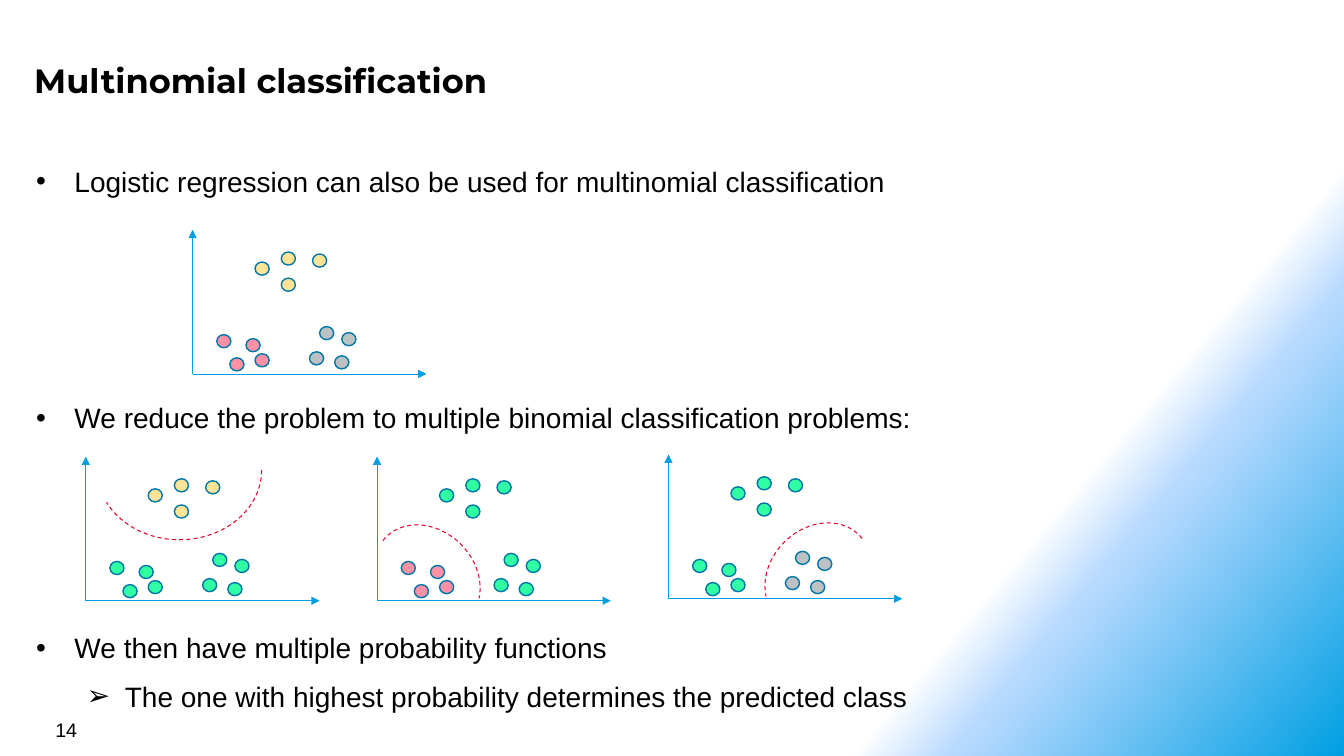
from lxml import etree
from pptx import Presentation
from pptx.dml.color import RGBColor
from pptx.enum import dml, shapes, text
from pptx.oxml import parse_xml
from pptx.oxml.ns import nsdecls, qn
from pptx.util import Inches, Pt

THEME = {
    "text": "000000", "axis": "009FE3", "outline": "0076A8", "boundary": "E4032E",
    "yellow": "FFE497", "pink": "FE91A6", "grey": "BDC1C4", "rest": "31FFA4",
    "title_font": "Montserrat", "body_font": "Arial",
    "title_size": 24, "body_size": 20, "number_size": 14,
    # position in %, colour, opacity in %
    "background": [(75, "FFFFFF", 100), (80, "B9DAFF", 50), (100, "009FE3", 100)],
    "background_angle": 40,
}

TITLE = "Multinomial classification"
SLIDE_NUMBER = "14"
# Each box: top, height, then (level, bullet, space before in points, wording)
BULLET_BOXES = [
    (1.58, 2.79, [
        (0, "•", 0, "Logistic regression can also be used for multinomial classification"),
        (0, "•", 145, "We reduce the problem to multiple binomial classification problems:"),
    ]),
    (6.21, 0.91, [
        (0, "•", 0, "We then have multiple probability functions"),
        (1, "➢", 10.5, "The one with highest probability determines the predicted class"),
    ]),
]

# Top left corner of each point, measured from the plot origin
CLUSTERS = {
    "yellow": [(0.88, -1.21), (0.62, -1.11), (0.88, -0.95), (1.19, -1.19)],
    "pink": [(0.37, -0.16), (0.24, -0.39), (0.53, -0.35), (0.62, -0.2)],
    "grey": [(1.26, -0.47), (1.16, -0.22), (1.41, -0.18), (1.48, -0.41)],
}
POINT_SIZE = (0.14, 0.13)
AXIS_WIDTH, AXIS_HEIGHT = 2.32, 1.43

# Origin and the clusters that keep their own colour
PLOTS = [
    ((1.91, 3.71), ("yellow", "pink", "grey")),
    ((0.85, 5.96), ("yellow",)),
    ((3.74, 5.96), ("pink",)),
    ((6.63, 5.94), ("grey",)),
]
# Box, rotation, start and end adjustment, mirrored
BOUNDARIES = [
    ((1.09, 3.85, 1.38, 1.63), 90, (162, 39.78), False),
    ((3.76, 5.16, 0.95, 1.15), 315, (159.24, 39.78), False),
    ((7.64, 5.14, 0.95, 1.15), 45, (159.24, 39.78), True),
]


def color(name):
    return RGBColor.from_string(THEME[name])


def style_font(font, family, size, bold=False):
    font.name, font.size, font.bold = THEME[family], Pt(THEME[size]), bold
    font.color.rgb = color("text")


def paint_background(slide):
    fill = slide.background.fill
    fill.gradient()
    gradient = slide.background._cSld.bg.bgPr.find(qn("a:gradFill"))
    stops = gradient.find(qn("a:gsLst"))
    for stop in list(stops):
        stops.remove(stop)
    for position, value, opacity in THEME["background"]:
        alpha = f'<a:alpha val="{opacity * 1000}"/>' if opacity < 100 else ""
        stops.append(parse_xml(
            f'<a:gs {nsdecls("a")} pos="{position * 1000}">'
            f'<a:srgbClr val="{value}">{alpha}</a:srgbClr></a:gs>'))
    direction = gradient.find(qn("a:lin"))
    direction.set("ang", str(THEME["background_angle"] * 60000))
    direction.set("scaled", "0")


def add_text_box(slide, box):
    text_frame = slide.shapes.add_textbox(*map(Inches, box)).text_frame
    text_frame.word_wrap = True
    return text_frame


def add_heading(slide):
    text_frame = add_text_box(slide, (0.26, 0.51, 12.26, 0.55))
    text_frame.margin_left = text_frame.margin_right = Inches(0.08)
    text_frame.margin_top = text_frame.margin_bottom = Inches(0.08)
    text_frame.text = TITLE
    style_font(text_frame.paragraphs[0].runs[0].font, "title_font", "title_size", True)


def add_slide_number(slide):
    text_frame = add_text_box(slide, (0.45, 7.07, 3.11, 0.33))
    text_frame.vertical_anchor = text.MSO_ANCHOR.MIDDLE
    text_frame.text = SLIDE_NUMBER
    style_font(text_frame.paragraphs[0].runs[0].font, "body_font", "number_size")


def add_bullets(slide, top, height, items):
    text_frame = add_text_box(slide, (0.26, top, 12.68, height))
    text_frame.text = "\n".join(item[-1] for item in items)
    for paragraph, (level, bullet, space, _) in zip(text_frame.paragraphs, items):
        paragraph.level = level
        paragraph.space_before = Pt(space)
        properties = paragraph._p.get_or_add_pPr()
        properties.set("marL", str(Inches(0.38 + 0.5 * level)))
        properties.set("indent", str(Inches(-0.38)))
        etree.SubElement(properties, qn("a:buFont"), typeface=THEME["body_font"])
        etree.SubElement(properties, qn("a:buChar"), char=bullet)
        style_font(paragraph.runs[0].font, "body_font", "body_size")


def add_axis(slide, start, end):
    axis = slide.shapes.add_connector(
        shapes.MSO_CONNECTOR.STRAIGHT, *map(Inches, start + end))
    axis.line.color.rgb = color("axis")
    axis.line.width = Pt(0.5)
    etree.SubElement(axis.line._get_or_add_ln(), qn("a:tailEnd"), type="triangle")
    etree.SubElement(axis._element.spPr, qn("a:effectLst"))


def add_plot(slide, origin, coloured):
    x, y = origin
    add_axis(slide, origin, (x, y - AXIS_HEIGHT))
    add_axis(slide, origin, (x + AXIS_WIDTH, y))
    for cluster, points in CLUSTERS.items():
        for dx, dy in points:
            point = slide.shapes.add_shape(
                shapes.MSO_SHAPE.OVAL, *map(Inches, (x + dx, y + dy) + POINT_SIZE))
            point.shadow.inherit = False
            point.fill.solid()
            point.fill.fore_color.rgb = color(cluster if cluster in coloured else "rest")
            point.line.color.rgb = color("outline")
            point.line.width = Pt(1)


def add_boundary(slide, box, rotation, adjustments, mirrored):
    arc = slide.shapes.add_shape(shapes.MSO_SHAPE.ARC, *map(Inches, box))
    arc.shadow.inherit = False
    arc.rotation = rotation
    arc.adjustments[0], arc.adjustments[1] = adjustments
    if mirrored:
        arc._element.spPr.find(qn("a:xfrm")).set("flipH", "1")
    arc.fill.background()
    arc.line.color.rgb = color("boundary")
    arc.line.width = Pt(0.75)
    arc.line.dash_style = dml.MSO_LINE.DASH


def main():
    presentation = Presentation()
    presentation.slide_width, presentation.slide_height = Inches(13.33), Inches(7.5)
    slide = presentation.slides.add_slide(presentation.slide_layouts[6])
    paint_background(slide)
    add_heading(slide)
    add_slide_number(slide)
    for bullet_box in BULLET_BOXES:
        add_bullets(slide, *bullet_box)
    for plot in PLOTS:
        add_plot(slide, *plot)
    for boundary in BOUNDARIES:
        add_boundary(slide, *boundary)
    presentation.save("out.pptx")


if __name__ == "__main__":
    main()
